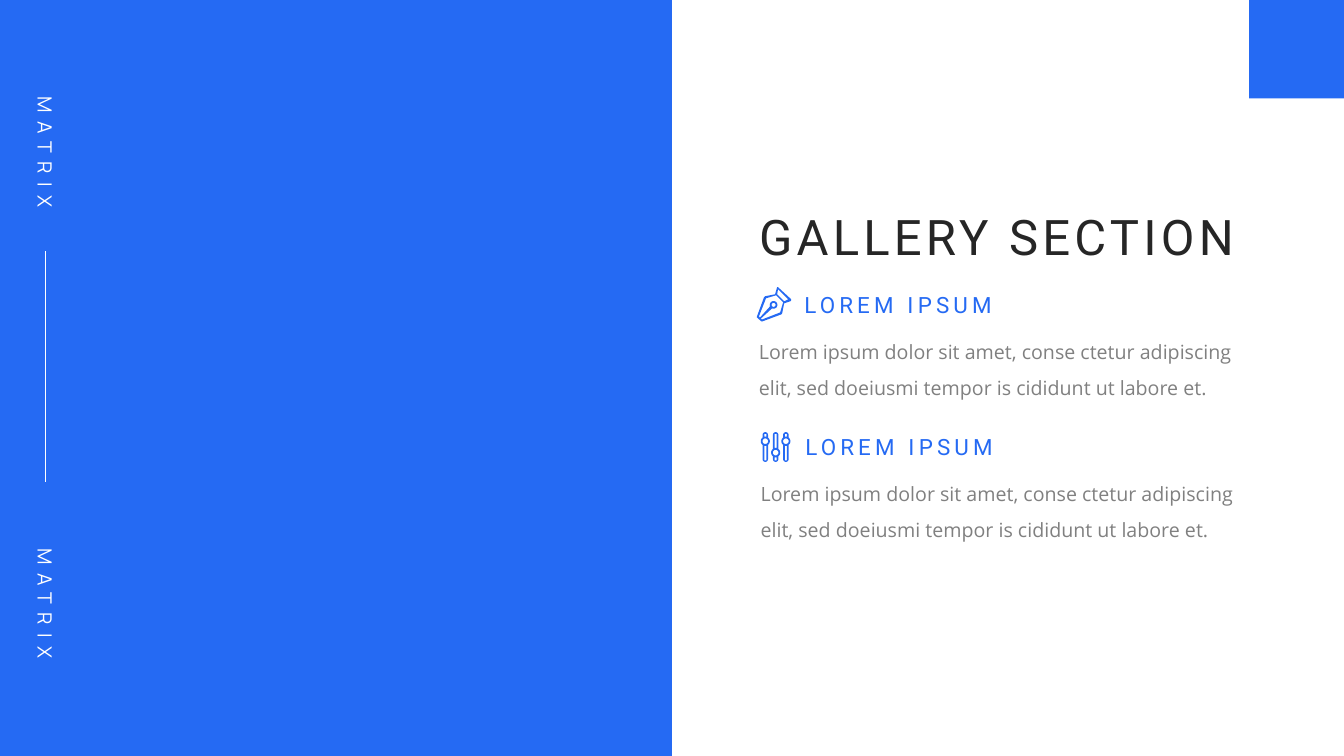
from dataclasses import dataclass
from math import cos, radians, sin

from lxml.etree import SubElement
from pptx import Presentation
from pptx.dml.color import RGBColor
from pptx.enum.shapes import MSO_CONNECTOR, MSO_SHAPE
from pptx.enum.text import MSO_ANCHOR, MSO_AUTO_SIZE, PP_ALIGN
from pptx.oxml.ns import qn
from pptx.util import Pt

COLORS = {"blue": "256AF3", "white": "FFFFFF", "dark": "262626", "gray": "808080"}
BODY = ("Lorem ipsum dolor sit amet, conse ctetur adipiscing elit, "
        "sed doeiusmi tempor is cididunt ut labore et.")
ICON_UNIT = 0.72
Point = tuple[float, float]
Contour = list[Point]


@dataclass
class Box:
    left: float
    top: float
    width: float
    height: float


@dataclass
class Feature:
    heading: Box
    body: Box


@dataclass
class Slider:
    left: float
    knob: float


PANELS = [Box(0, 0, 480, 540), Box(892.2, 0, 67.8, 70.3)]
SIDE_LABELS = [Box(-38.2, 96.5, 141.1, 24.2), Box(-38.2, 419, 141.1, 24.2)]
FEATURES = [
    Feature(Box(564.5, 204.5, 151.2, 26.6), Box(535, 231.1, 356.4, 55.4)),
    Feature(Box(565.2, 306, 151.2, 26.6), Box(536.2, 332.6, 356.4, 55.4)),
]
SLIDERS = [Slider(543.4, 9), Slider(550.8, 20.3), Slider(558.1, 9)]


def color(name: str) -> RGBColor:
    return RGBColor.from_string(COLORS[name])


def fill_plain(sp) -> None:
    sp.shadow.inherit = False
    sp.fill.solid()
    sp.fill.fore_color.rgb = color("blue")
    sp.line.fill.background()


def place(sp, box: Box) -> None:
    sp.left, sp.top = Pt(box.left), Pt(box.top)
    sp.width, sp.height = Pt(box.width), Pt(box.height)


def write(sp, text: str, *, font: str, size: float, fill: str, spacing: float = 0,
          align=PP_ALIGN.LEFT, line_spacing: float = 1.0, wrap: bool = True) -> None:
    tf = sp.text_frame
    tf.word_wrap = wrap
    tf.auto_size = MSO_AUTO_SIZE.SHAPE_TO_FIT_TEXT
    tf.vertical_anchor = MSO_ANCHOR.TOP
    p = tf.paragraphs[0]
    p.alignment = align
    p.line_spacing = line_spacing
    r = p.add_run()
    r.text = text
    r.font.name, r.font.size = font, Pt(size)
    r.font.color.rgb = color(fill)
    if spacing:
        r.font._element.set("spc", str(round(spacing * 100)))


def add_text(s, box: Box, text: str, **style):
    sp = s.shapes.add_textbox(0, 0, 0, 0)
    write(sp, text, **style)
    place(sp, box)
    return sp


def arc(cx: float, cy: float, radius: float, start: float, end: float,
        steps: int = 16) -> Contour:
    angles = [radians(start + (end - start) * i / steps) for i in range(steps + 1)]
    return [(cx + radius * cos(a), cy + radius * sin(a)) for a in angles]


def slot(cx: float, top: float, bottom: float) -> Contour:
    return [(cx - 1, top), (cx + 1, top), (cx + 1, bottom), (cx - 1, bottom)]


def add_icon(s, left: float, top: float, contours: list[Contour]) -> None:
    scaled = [[(Pt(left + x * ICON_UNIT), Pt(top + y * ICON_UNIT)) for x, y in c]
              for c in contours]
    fb = s.shapes.build_freeform(*scaled[0][0])
    for i, points in enumerate(scaled):
        if i:
            fb.move_to(*points[0])
        fb.add_line_segments(points[1:], close=True)
    fill_plain(fb.convert_to_shape())


def pen_contours() -> list[Contour]:
    outline = [(25, 26), (27, 16), (33, 14), (34, 13), (34, 12), (21, 0), (20, 0),
               (18, 7), (8, 9), (7, 10), (0, 29), (0, 30), (4, 33.5), (5, 34), (24, 27)]
    cap = [(31, 12), (27, 14), (20, 7), (21, 2)]
    body = [(5, 32), (4, 31), *arc(16.5, 17.5, 3.8, 113, -203), (3, 30), (2, 29),
            (9, 11), (19, 8), (26, 15), (23, 25)]
    return [outline, cap, body, arc(16.5, 17.5, 2, 0, 360)]


def slider_contours(knob: float) -> list[Contour]:
    cx, half = 4.5, 2.7
    outline = [*arc(cx, half, half, 180, 360), *arc(cx, knob, 4.5, -53, 53),
               *arc(cx, 29.5 - half, half, 0, 180), *arc(cx, knob, 4.5, 127, 233)]
    return [outline, arc(cx, knob, 2.8, 0, 360),
            slot(cx, 1.6, knob - 4.6), slot(cx, knob + 4.6, 28)]


def main() -> None:
    prs = Presentation()
    prs.slide_width, prs.slide_height = Pt(960), Pt(540)
    s = prs.slides.add_slide(prs.slide_layouts[5])

    for box in PANELS:
        sp = s.shapes.add_shape(MSO_SHAPE.RECTANGLE, 0, 0, 0, 0)
        place(sp, box)
        fill_plain(sp)

    for box in SIDE_LABELS:
        label = add_text(s, box, "MATRIX", font="Manrope", size=14, fill="white",
                         spacing=6, align=PP_ALIGN.CENTER)
        label.rotation = 90

    rule = s.shapes.add_connector(MSO_CONNECTOR.STRAIGHT, Pt(32.4), Pt(179.3),
                                  Pt(32.4), Pt(344.2))
    rule.line.color.rgb = color("white")
    rule.line.width = Pt(0.5)
    SubElement(rule._element.spPr, qn("a:effectLst"))

    title = s.shapes.title
    write(title, "GALLERY SECTION", font="Roboto", size=35, fill="dark", spacing=3)
    place(title, Box(535, 144, 378, 49.7))

    for feature in FEATURES:
        add_text(s, feature.heading, "LOREM IPSUM", font="Roboto", size=16, fill="blue",
                 spacing=3, align=PP_ALIGN.RIGHT, wrap=False)
        add_text(s, feature.body, BODY, font="Open Sans", size=14, fill="gray",
                 line_spacing=1.5)

    add_icon(s, 540.7, 205.2, pen_contours())
    for slider in SLIDERS:
        add_icon(s, slider.left, 308.7, slider_contours(slider.knob))

    prs.save("out.pptx")


if __name__ == "__main__":
    main()
